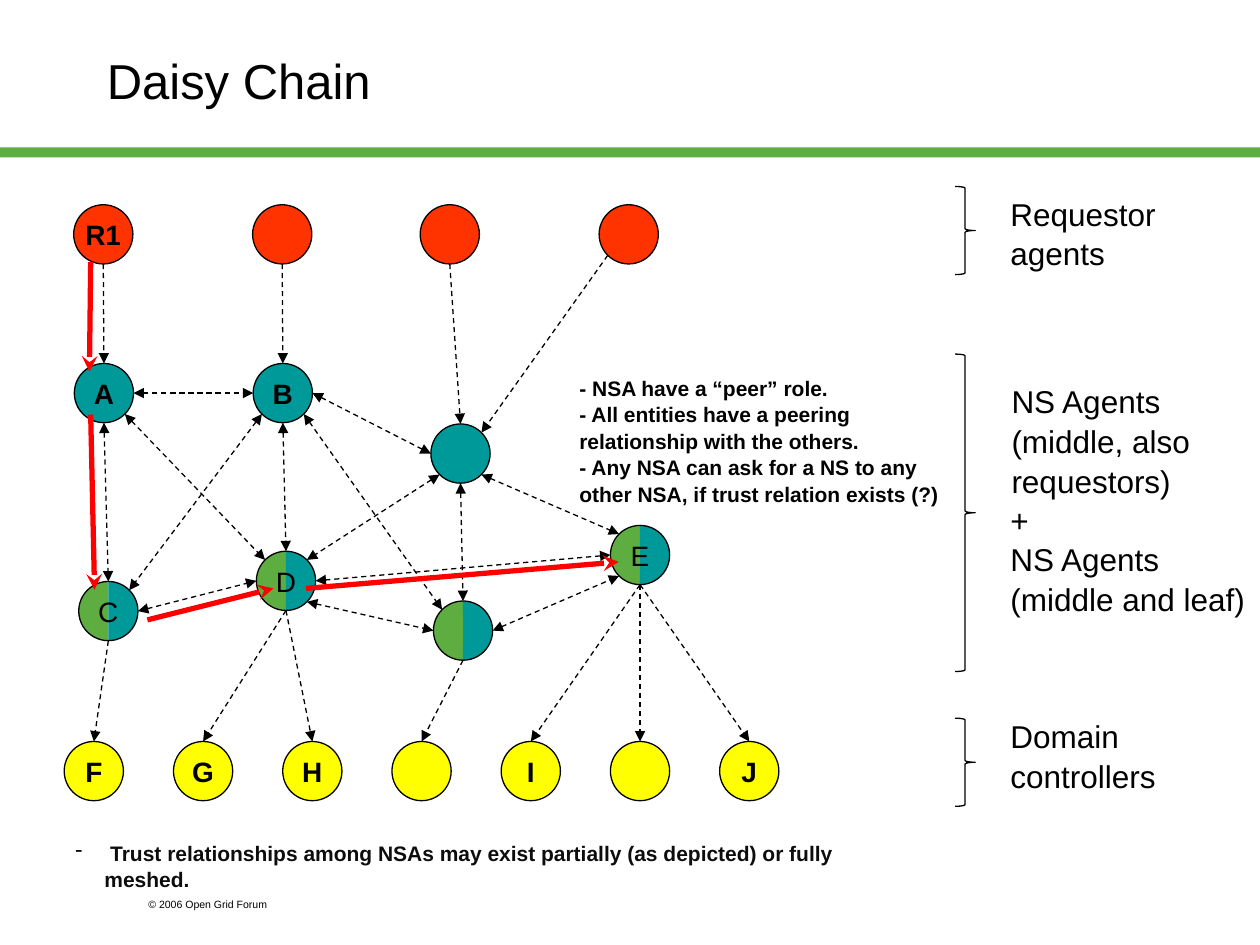
from collections import namedtuple
from math import cos, radians, sin

from lxml.etree import SubElement
from pptx import Presentation
from pptx.dml.color import RGBColor
from pptx.enum.dml import MSO_LINE
from pptx.enum.shapes import MSO_CONNECTOR, MSO_SHAPE
from pptx.enum.text import MSO_ANCHOR, PP_ALIGN
from pptx.oxml.ns import qn
from pptx.util import Inches, Pt

COLORS = {
    "ink": "000000", "footnote": "0D0D0D", "green": "5DAD41", "teal": "009999",
    "requestor": "FF3300", "controller": "FFFF00", "route": "FF0000",
}
COLUMNS, ROWS = 100, 75
CELL = Inches(10) // COLUMNS
DIAMETER = 4.7
LEFT_HALF, RIGHT_HALF = (54, 162), (162, 54)
ANGLES = {"e": 0, "se": 45, "s": 90, "sw": 135, "w": 180, "nw": 225, "n": 270, "ne": 315}

Box = namedtuple("Box", "left top width height")
Node = namedtuple("Node", "label x y kind")

NODES = {
    "R1": Node("R1", 3.2, 2.6, "requestor"),
    "R2": Node("", 17.4, 2.6, "requestor"),
    "R3": Node("", 30.7, 2.6, "requestor"),
    "R4": Node("", 44.9, 2.6, "requestor"),
    "A": Node("A", 3.25, 15.2, "teal"),
    "B": Node("B", 17.45, 15.2, "teal"),
    "M": Node("", 31.55, 20, "teal"),
    "C": Node("C", 3.6, 32.5, "split"),
    "D": Node("D", 17.7, 30.1, "split"),
    "E": Node("E", 45.8, 28.05, "split"),
    "N": Node("", 31.75, 34.05, "split"),
}
CONTROLLERS = [("F", "F"), ("G", "G"), ("H", "H"), ("K", ""), ("I", "I"), ("L", ""), ("J", "J")]
for order, (key, label) in enumerate(CONTROLLERS):
    NODES[key] = Node(label, 2.45 + 8.67 * order, 45.2, "controller")

REQUESTS = [
    "R1 s A n", "R2 s B n", "R3 s M n", "R4 sw M ne", "C s F n", "D s G n", "D s H n",
    "N s K n", "E s I n", "E s L n", "E s J n",
]
PEERINGS = [
    "A e B w", "A s C n", "A se D nw", "B e M w", "B s D n", "B sw C ne", "B se N nw",
    "M s N n", "M sw D ne", "M se E nw", "C e D w", "D e E w", "D se N w", "N e E sw",
]
ROUTE = [
    (2.2, 4.8, 2.1, 13.5), (2.2, 16.9, 2.5, 30.8),
    (6.7, 33.2, 16.7, 30.7), (19.3, 30.7, 44.1, 28.6),
]


def cells(*counts):
    return [round(count * CELL) for count in counts]


def color(name):
    return RGBColor.from_string(COLORS[name])


def add_text(slide, box, text, size, bold=False, ink="ink", spacing=1.05):
    frame = slide.shapes.add_textbox(*cells(*box)).text_frame
    frame.word_wrap = True
    frame.text = text
    for paragraph in frame.paragraphs:
        paragraph.line_spacing = spacing
        style_runs(paragraph, size, bold, ink)
    return frame


def style_runs(paragraph, size, bold, ink):
    for run in paragraph.runs:
        run.font.name = "Arial"
        run.font.size = Pt(size)
        run.font.bold = bold
        run.font.color.rgb = color(ink)


def add_figure(slide, preset, box, fill=None, line=None):
    figure = slide.shapes.add_shape(preset, *cells(*box))
    figure.shadow.inherit = False
    if fill:
        figure.fill.solid()
        figure.fill.fore_color.rgb = color(fill)
    else:
        figure.fill.background()
    if line:
        figure.line.color.rgb = color(line)
        figure.line.width = Pt(0.75)
    else:
        figure.line.fill.background()
    return figure


def add_arrow(slide, start, end, ink="ink", width=0.75, head=None, tail="triangle"):
    arrow = slide.shapes.add_connector(MSO_CONNECTOR.STRAIGHT, *cells(*start, *end))
    arrow.line.color.rgb = color(ink)
    arrow.line.width = Pt(width)
    if ink == "ink":
        arrow.line.dash_style = MSO_LINE.DASH
    stroke = arrow.line._get_or_add_ln()
    for tag, kind in (("a:headEnd", head), ("a:tailEnd", tail)):
        if kind:
            SubElement(stroke, qn(tag), type=kind)
    SubElement(arrow._element.spPr, qn("a:effectLst"))


def add_node(slide, area, node):
    box = Box(area.left + node.x - DIAMETER / 2, area.top + node.y - DIAMETER / 2,
              DIAMETER, DIAMETER)
    split = node.kind == "split"
    if split:
        for fill, angles in (("green", LEFT_HALF), ("teal", RIGHT_HALF)):
            half = add_figure(slide, MSO_SHAPE.PIE, box, fill)
            half.adjustments[0], half.adjustments[1] = angles
    circle = add_figure(slide, MSO_SHAPE.OVAL, box, None if split else node.kind, "ink")
    if node.label:
        frame = circle.text_frame
        frame.word_wrap = False
        frame.vertical_anchor = MSO_ANCHOR.MIDDLE
        frame.text = node.label
        frame.paragraphs[0].alignment = PP_ALIGN.CENTER
        style_runs(frame.paragraphs[0], 16, not split, "ink")


def rim_point(area, key, side):
    node, angle = NODES[key], radians(ANGLES[side])
    return (area.left + node.x + DIAMETER / 2 * cos(angle),
            area.top + node.y + DIAMETER / 2 * sin(angle))


def draw_header(slide, area):
    title = add_text(slide, Box(area.left + 7.5, area.top, 85, area.height), "Daisy Chain", 28)
    title.vertical_anchor = MSO_ANCHOR.MIDDLE
    add_figure(slide, MSO_SHAPE.RECTANGLE,
               Box(area.left, area.top + area.height - 0.8, area.width, 0.8), "green")


def draw_network(slide, area):
    for node in NODES.values():
        add_node(slide, area, node)
    for links, head in ((REQUESTS, None), (PEERINGS, "triangle")):
        for link in links:
            source, exit_side, target, entry_side = link.split()
            add_arrow(slide, rim_point(area, source, exit_side),
                      rim_point(area, target, entry_side), head=head)
    for x1, y1, x2, y2 in ROUTE:
        add_arrow(slide, (area.left + x1, area.top + y1), (area.left + x2, area.top + y2),
                  "route", 3, tail="stealth")


def draw_peer_notes(slide, area):
    add_text(slide, area, "- NSA have a “peer” role.\n"
             "- All entities have a peering relationship with the others.\n"
             "- Any NSA can ask for a NS to any other NSA, if trust relation exists (?)",
             12, bold=True)


def draw_tiers(slide, area):
    for top, height in ((0, 7), (13.3, 25.2), (42.2, 7)):
        add_figure(slide, MSO_SHAPE.RIGHT_BRACE,
                   Box(area.left, area.top + top, 1.6, height), line="ink")
    for indent, top, height, text in (
        (3.4, 0, 7, "Requestor\nagents"),
        (3.5, 14.9, 10, "NS Agents\n(middle, also\vrequestors)"),
        (3.4, 24.3, 10, "+\vNS Agents\n(middle and leaf)"),
        (3.4, 41.5, 7, "Domain\vcontrollers"),
    ):
        add_text(slide, Box(area.left + indent, area.top + top, area.width - indent, height),
                 text, 18)


def draw_footer(slide, area):
    trust = add_text(
        slide, Box(area.left, area.top, area.width, 5),
        " Trust relationships among NSAs may exist partially (as depicted) or fully meshed.",
        12, bold=True, ink="footnote").paragraphs[0]
    properties = trust._p.get_or_add_pPr()
    properties.set("marL", str(Inches(0.23)))
    properties.set("indent", str(-Inches(0.23)))
    bullet_color = SubElement(properties, qn("a:buClr"))
    SubElement(bullet_color, qn("a:srgbClr"), val=COLORS["footnote"])
    SubElement(properties, qn("a:buChar"), char="-")
    add_text(slide, Box(area.left + 5.8, area.top + 4.7, 15, 2),
             "© 2006 Open Grid Forum", 6, spacing=1)


def main():
    presentation = Presentation()
    presentation.slide_width, presentation.slide_height = cells(COLUMNS, ROWS)
    slide = presentation.slides.add_slide(presentation.slide_layouts[6])
    draw_header(slide, Box(0, 0, COLUMNS, 12.5))
    draw_network(slide, Box(5, 16, 57, 47.5))
    draw_peer_notes(slide, Box(45, 29.2, 33.3, 11))
    draw_tiers(slide, Box(75.8, 14.8, 24.2, 49.3))
    draw_footer(slide, Box(5, 66.1, 69.2, 6.7))
    presentation.save("out.pptx")


if __name__ == "__main__":
    main()
